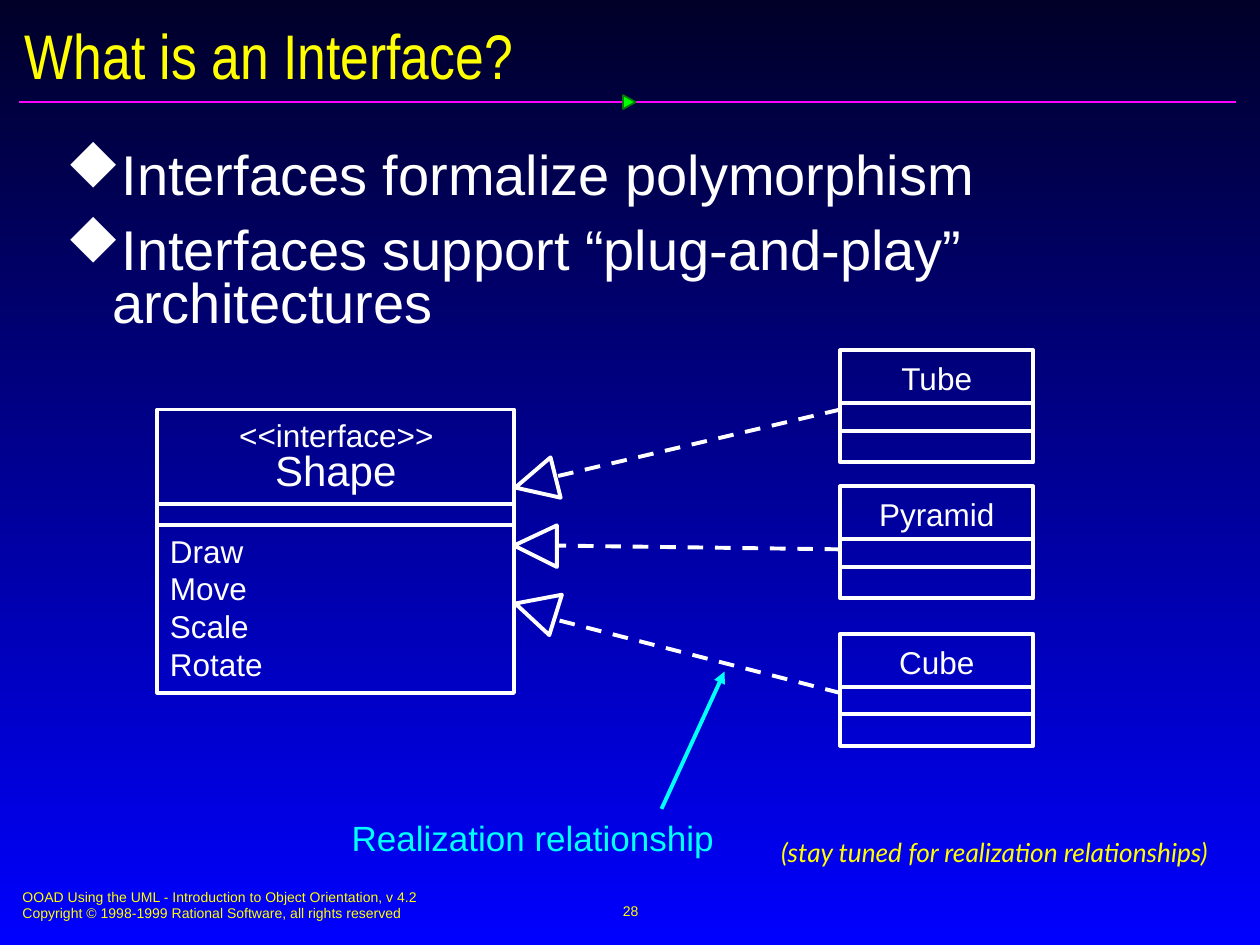
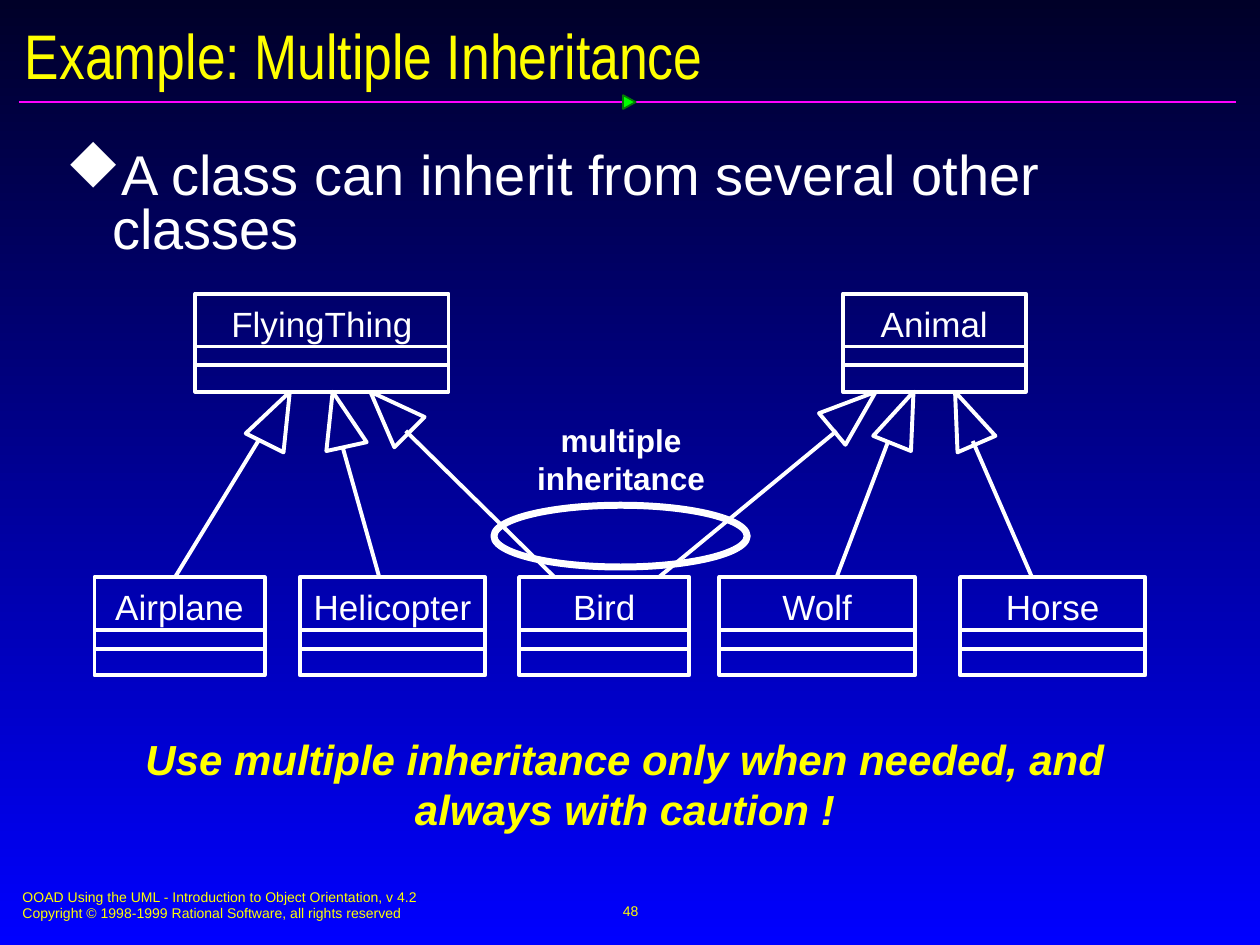
from lxml import etree
from pptx import Presentation, util as u
from pptx.dml.color import RGBColor
from pptx.enum import dml, shapes, text
from pptx.oxml.ns import qn

WHITE, YELLOW, CYAN = "FFFFFF", "FFFF00", "00FFFF"
MAGENTA, GREEN, DARK_GREEN = "FF01FF", "00FF00", "037C03"
NIGHT, BLUE = "000028", "0000FF"
LEFT, CENTER = text.PP_ALIGN.LEFT, text.PP_ALIGN.CENTER
MIDDLE = text.MSO_ANCHOR.MIDDLE
RECTANGLE = shapes.MSO_SHAPE.RECTANGLE
DIAMOND = "u"  # the diamond in Wingdings

FOOTER = [
    "OOAD Using the UML - Introduction to Object Orientation, v 4.2",
    "Copyright © 1998-1999 Rational Software, all rights reserved",
]


def add_text(slide, place, lines, size, color=WHITE, align=LEFT, inset=(0.1, 0.05),
             wrap=True, anchor=text.MSO_ANCHOR.TOP, bullet=None, **font_values):
    """Add a text box with one paragraph per line; font_values override the font."""
    frame = slide.shapes.add_textbox(*map(u.Inches, place)).text_frame
    across, down = map(u.Inches, inset)
    frame_values = {"word_wrap": wrap, "vertical_anchor": anchor,
                    "margin_left": across, "margin_right": across,
                    "margin_top": down, "margin_bottom": down}
    for name, value in frame_values.items():
        setattr(frame, name, value)
    for index, line in enumerate(lines):
        paragraph = frame.paragraphs[0] if index == 0 else frame.add_paragraph()
        paragraph.alignment = align
        if bullet:
            properties = paragraph._p.get_or_add_pPr()
            properties.set("marL", str(u.Inches(0.37)))
            properties.set("indent", str(-u.Inches(0.37)))
            bullet_color = etree.SubElement(properties, qn("a:buClr"))
            etree.SubElement(bullet_color, qn("a:srgbClr"), val=color)
            etree.SubElement(properties, qn("a:buFont"), typeface="Wingdings",
                             pitchFamily="2", charset="2")
            etree.SubElement(properties, qn("a:buChar"), char=bullet)
            paragraph.line_spacing = 0.8
            if index:
                paragraph.space_before = u.Pt(12)
        run = paragraph.add_run()
        run.text = line
        run.font.color.rgb = RGBColor.from_string(color)
        for name, value in {"size": u.Pt(size), "name": "Arial", **font_values}.items():
            setattr(run.font, name, value)


def add_line(slide, start, end, color=WHITE, width=2.25):
    connector = slide.shapes.add_connector(
        shapes.MSO_CONNECTOR.STRAIGHT, *map(u.Inches, (*start, *end)))
    connector.line.color.rgb = RGBColor.from_string(color)
    connector.line.width = u.Pt(width)
    etree.SubElement(connector._element.spPr, qn("a:effectLst"))
    return connector


presentation = Presentation()
presentation.slide_width, presentation.slide_height = u.Inches(10), u.Inches(7.5)

# Shared frame: background, title, rule, bullets and footer
pages = [
    ("What is an Interface?", 28,
     ["Interfaces formalize polymorphism",
      "Interfaces support “plug-and-play” architectures"]),
    ("Example: Multiple Inheritance", 48,
     ["A class can inherit from several other classes"]),
]
for title, number, points in pages:
    slide = presentation.slides.add_slide(presentation.slide_layouts[6])
    background = slide.background.fill
    background.gradient()
    background.gradient_angle = 270
    for stop, color in zip(background.gradient_stops, (NIGHT, BLUE)):
        stop.color.rgb = RGBColor.from_string(color)
    add_line(slide, (0.15, 0.81), (9.81, 0.81), MAGENTA, 1)
    marker = slide.shapes.add_shape(shapes.MSO_SHAPE.ISOSCELES_TRIANGLE,
                                    *map(u.Inches, (4.94, 0.76, 0.11, 0.1)))
    marker.rotation = 90
    marker.shadow.inherit = False
    marker.fill.solid()
    marker.fill.fore_color.rgb = RGBColor.from_string(GREEN)
    marker.line.color.rgb = RGBColor.from_string(DARK_GREEN)
    marker.line.width = u.Pt(1)
    add_text(slide, (0.08, 7, 5.1, 0.37), FOOTER, 8, YELLOW)
    add_text(slide, (3.42, 6.98, 3.17, 0.5), [str(number)], 8, YELLOW, CENTER,
             wrap=False, anchor=MIDDLE)
    add_text(slide, (0.1, 0.14, 9.84, 0.58), [title], 36, YELLOW,
             anchor=MIDDLE, name="Arial Narrow")
    add_text(slide, (0.4, 1.15, 9.29, 5.52), points, 32,
             inset=(0.12, 0.06), bullet=DIAMOND)
interface_slide, inheritance_slide = presentation.slides

# Class boxes: slide, height, divider offsets, name size, then name, left, top, width
class_groups = [
    (interface_slide, 0.89, (0.42, 0.64), 18,
     [("Tube", 6.67, 2.78, 1.53), ("Pyramid", 6.67, 3.86, 1.53),
      ("Cube", 6.67, 5.03, 1.53)]),
    (inheritance_slide, 0.78, (0.42, 0.57), 20,
     [("FlyingThing", 1.55, 2.33, 2.01), ("Animal", 6.69, 2.33, 1.45),
      ("Airplane", 0.75, 4.58, 1.35), ("Helicopter", 2.38, 4.58, 1.47),
      ("Bird", 4.12, 4.58, 1.35), ("Wolf", 5.71, 4.58, 1.55),
      ("Horse", 7.62, 4.58, 1.47)]),
    (interface_slide, 2.25, (0.75, 0.92), 24, [("", 1.25, 3.25, 2.83)]),
]
outlines = []
for slide, height, dividers, size, classes in class_groups:
    for name, left, top, width in classes:
        outlines.append(slide.shapes.add_shape(
            RECTANGLE, *map(u.Inches, (left, top, width, height))))
        for offset in dividers:
            add_line(slide, (left, top + offset), (left + width, top + offset))
        if name:
            add_text(slide, (left, top + 0.07, width, 0.33), [name], size,
                     align=CENTER, inset=(0, 0), wrap=False)

# Relationships: line start, line end, then the tip and base of the hollow arrowhead
realizations = [
    ((6.67, 3.25), (4.42, 3.78), [(4.09, 3.87), (4.37, 3.63), (4.45, 3.95)]),
    ((6.67, 4.36), (4.42, 4.33), [(4.08, 4.33), (4.42, 4.17), (4.42, 4.5)]),
    ((6.67, 5.5), (4.42, 4.92), [(4.09, 4.79), (4.46, 4.72), (4.36, 5.04)]),
]
generalizations = [
    ((1.39, 4.58), (2.05, 3.5), [(2.3, 3.11), (2.25, 3.59), (1.95, 3.44)]),
    ((3.01, 4.58), (2.72, 3.55), [(2.64, 3.11), (2.91, 3.51), (2.59, 3.58)]),
    ((4.4, 4.58), (3.22, 3.42), [(2.94, 3.11), (3.37, 3.31), (3.13, 3.55)]),
    ((5.23, 4.58), (6.64, 3.42), [(6.95, 3.11), (6.71, 3.53), (6.5, 3.28)]),
    ((6.64, 4.58), (7.05, 3.5), [(7.25, 3.11), (7.23, 3.58), (6.93, 3.46)]),
    ((8.19, 4.58), (7.72, 3.5), [(7.58, 3.11), (7.9, 3.46), (7.6, 3.59)]),
]
for slide, relations, dash in [
        (interface_slide, realizations, dml.MSO_LINE.DASH),
        (inheritance_slide, generalizations, None)]:
    for start, end, corners in relations:
        add_line(slide, start, end).line.dash_style = dash
        tip, *base = [(u.Inches(x), u.Inches(y)) for x, y in corners]
        builder = slide.shapes.build_freeform(*tip)
        builder.add_line_segments(base, close=True)
        outlines.append(builder.convert_to_shape())

ellipse = inheritance_slide.shapes.add_shape(
    shapes.MSO_SHAPE.OVAL, *map(u.Inches, (3.92, 4.01, 2.01, 0.49)))
for shape in [*outlines, ellipse]:
    shape.shadow.inherit = False
    shape.fill.background()
    shape.line.color.rgb = RGBColor.from_string(WHITE)
    shape.line.width = u.Pt(4 if shape is ellipse else 2.25)

# Interface slide: labels of the interface box and the callout
add_text(interface_slide, (1.46, 3.25, 2.42, 0.4), ["<<interface>>"], 18, align=CENTER)
add_text(interface_slide, (1.25, 3.53, 2.83, 0.4), ["Shape"], 24, align=CENTER,
         inset=(0, 0), wrap=False)
add_text(interface_slide, (1.25, 4.17, 2.83, 1.3),
         ["Draw", "Move", "Scale", "Rotate"], 18)
add_text(interface_slide, (2.67, 6.42, 3.42, 0.45), ["Realization relationship"], 20,
         CYAN, inset=(0.12, 0.06))
add_text(interface_slide, (6.08, 6.58, 3.92, 0.62),
         ["(stay tuned for realization relationships)"], 15, YELLOW,
         inset=(0.12, 0.06), name="Lato", italic=True)
callout = add_line(interface_slide, (5.25, 6.42), (5.75, 5.33), CYAN)
etree.SubElement(callout.line._get_or_add_ln(), qn("a:tailEnd"), type="triangle")

# Inheritance slide: ellipse label and closing advice
add_text(inheritance_slide, (4.16, 3.29, 1.54, 0.7), ["multiple", "inheritance"], 18,
         align=CENTER, wrap=False, bold=True)
add_text(inheritance_slide, (0.42, 5.77, 9.08, 0.9),
         ["Use multiple inheritance only when needed, and", "always with caution !"],
         24, YELLOW, CENTER, bold=True, italic=True)

presentation.save("out.pptx")
